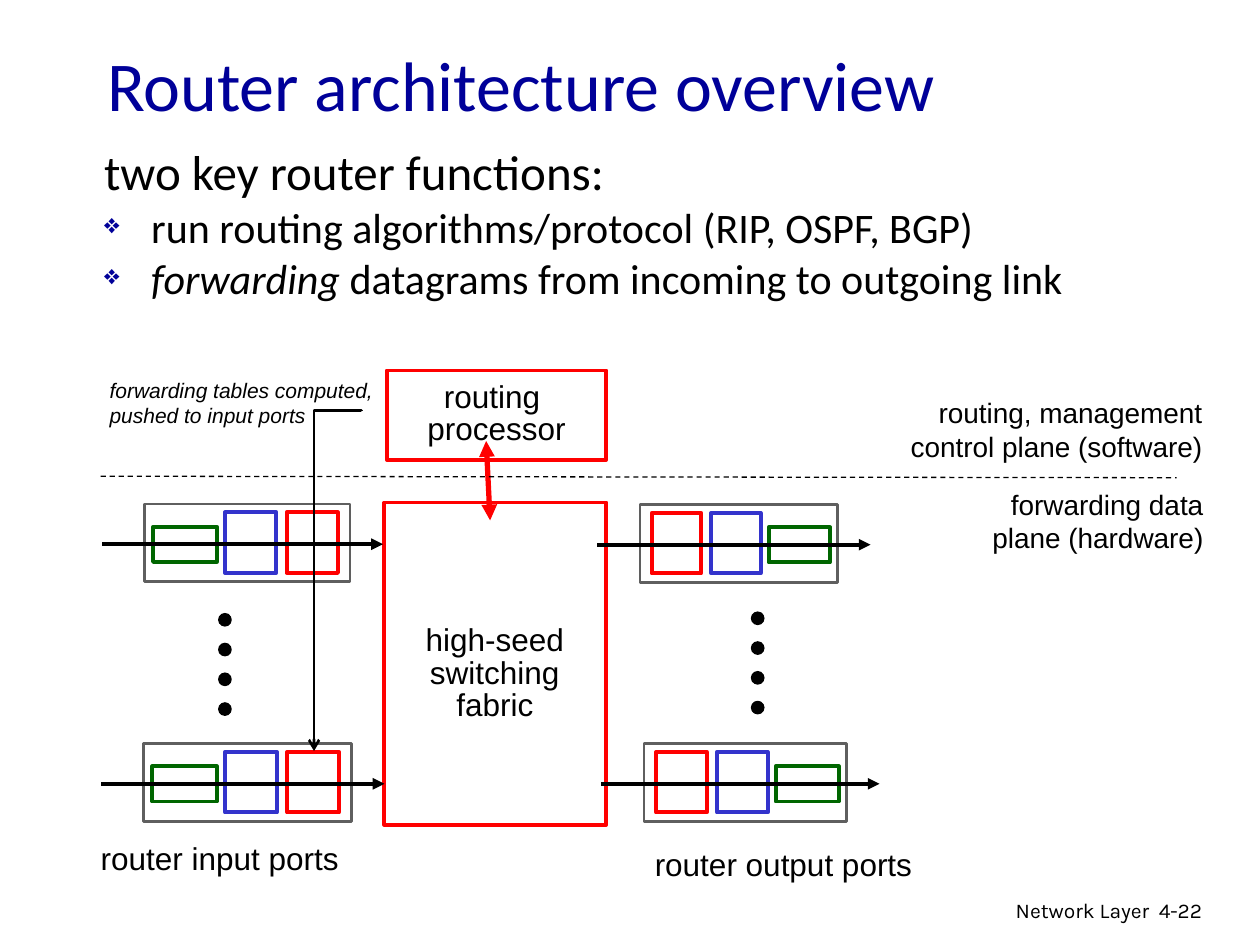
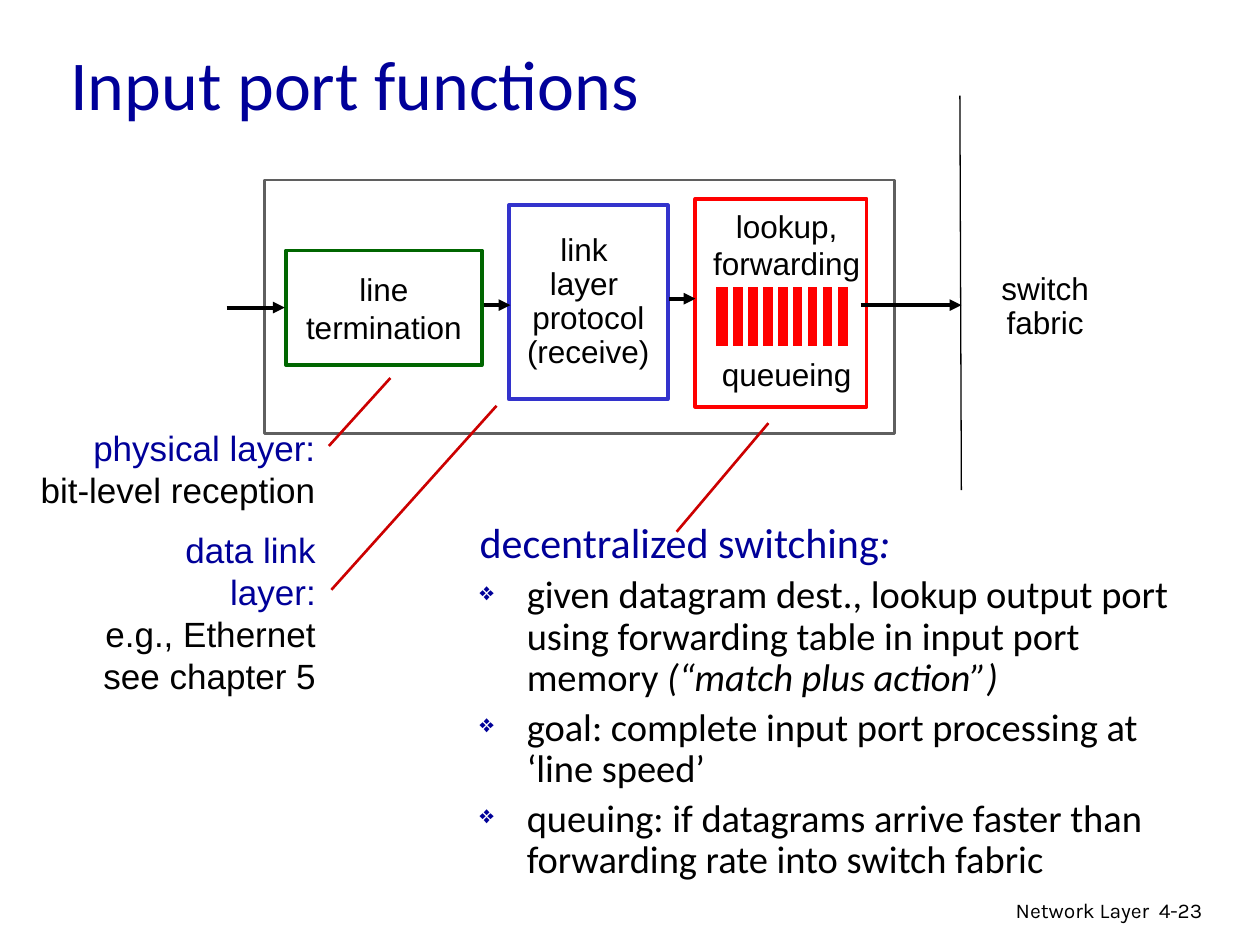
import pptx
import pptx.dml.color
import pptx.enum.dml
import pptx.enum.shapes
import pptx.enum.text
import pptx.oxml.ns
import pptx.util
from lxml import etree

Cm, Pt = pptx.util.Cm, pptx.util.Pt
rgb = pptx.dml.color.RGBColor.from_string
qn = pptx.oxml.ns.qn
SHAPE = pptx.enum.shapes.MSO_SHAPE
CONNECTOR = pptx.enum.shapes.MSO_CONNECTOR
ALIGN = pptx.enum.text.PP_ALIGN
ANCHOR = pptx.enum.text.MSO_ANCHOR
AUTO = pptx.enum.text.MSO_AUTO_SIZE

BLACK, WHITE, GREY = "000000", "FFFFFF", "5F5F5F"
NAVY, BLUE, GREEN, RED, DARK_RED = "000099", "3333CC", "006600", "FF0000", "CC0000"


def add_box(s, x, y, w, h, paras=(), line=None, pt=2.25, fill=WHITE, shape=SHAPE.RECTANGLE,
            size=18, font="Arial", colour=BLACK, italic=False, align=ALIGN.LEFT,
            anchor=ANCHOR.TOP, spacing=None, wrap=False):
    """Add a shape if line is given, else a text box.

    A paragraph is a string or a list of (text, {size, colour, italic}) runs.
    """
    place = Cm(x), Cm(y), Cm(w), Cm(h)
    if line:
        sp = s.shapes.add_shape(shape, *place)
        sp.shadow.inherit = False
        sp.fill.solid()
        sp.fill.fore_color.rgb = rgb(fill)
        sp.line.color.rgb = rgb(line)
        sp.line.width = Pt(pt)
    else:
        sp = s.shapes.add_textbox(*place)
    tf = sp.text_frame
    tf.word_wrap = wrap
    tf.vertical_anchor = anchor
    if not line and not wrap and anchor == ANCHOR.TOP:
        tf.auto_size = AUTO.SHAPE_TO_FIT_TEXT
    for i, para in enumerate(paras):
        p = tf.add_paragraph() if i else tf.paragraphs[0]
        p.alignment = align
        if spacing:
            p.line_spacing = spacing
        for text, style in [(para, {})] if isinstance(para, str) else para:
            r = p.add_run()
            r.text = text
            r.font.name = font
            r.font.size = Pt(style.get("size", size))
            r.font.italic = style.get("italic", italic)
            r.font.color.rgb = rgb(style.get("colour", colour))
    return sp


def add_line(s, x1, y1, x2, y2, colour=BLACK, pt=2.25, head=None, tail=None,
             dash=None, kind=CONNECTOR.STRAIGHT):
    c = s.shapes.add_connector(kind, Cm(x1), Cm(y1), Cm(x2), Cm(y2))
    c.line.color.rgb = rgb(colour)
    c.line.width = Pt(pt)
    if dash:
        c.line.dash_style = dash
    ln = c.element.spPr.find(qn("a:ln"))
    for tag, arrow in (("a:headEnd", head), ("a:tailEnd", tail)):
        if arrow:
            etree.SubElement(ln, qn(tag), type=arrow)
    etree.SubElement(c.element.spPr, qn("a:effectLst"))
    return c


prs = pptx.Presentation()
prs.slide_width, prs.slide_height = Cm(25.4), Cm(19.05)

# Title, bulleted body and footer of each slide
pages = [
    dict(title="Router architecture overview", title_at=(1.91, 0.84), number="4-22",
         body_at=(1.85, 2.92, 22.58, 2.54), size=24, spacing=0.85,
         body=[[("two key router functions:", {"size": 28})],
               "run routing algorithms/protocol (RIP, OSPF, BGP)",
               [("forwarding ", {"italic": True}),
                ("datagrams from incoming to outgoing link", {})]]),
    dict(title="Input port functions", title_at=(1.17, 0.81), number="4-23",
         body_at=(9.42, 10.41, 15.16, 7.42), size=22, spacing=0.9,
         body=[[("decentralized switching", {"size": 24, "colour": NAVY}),
                (":", {"size": 24, "colour": NAVY, "italic": True})],
               [("given datagram dest., lookup output port using forwarding table "
                 "in input port memory ", {}),
                ("(“match plus action”)", {"italic": True})],
               "goal: complete input port processing at ‘line speed’",
               "queuing: if datagrams arrive faster than forwarding rate into switch fabric"]),
]
slides = []
for page in pages:
    s = prs.slides.add_slide(prs.slide_layouts[6])
    slides.append(s)
    add_box(s, *page["title_at"], 21.59, 1.7, [page["title"]], size=40, font="Calibri",
            colour=NAVY, anchor=ANCHOR.MIDDLE, wrap=True)
    body = add_box(s, *page["body_at"], page["body"], size=page["size"], font="Calibri",
                   spacing=page["spacing"], wrap=True)
    for i, p in enumerate(body.text_frame.paragraphs):
        p.space_before = Pt(round(p.runs[0].font.size.pt * 0.2, 1))
        pPr = p._p.get_or_add_pPr()
        pPr.set("marL", str(Cm(0.95)))
        pPr.set("indent", str(Cm(-0.95)))
        if i:
            bullet_colour = etree.SubElement(pPr, qn("a:buClr"))
            etree.SubElement(bullet_colour, qn("a:srgbClr"), val=NAVY)
            etree.SubElement(pPr, qn("a:buSzPct"), val="65000")
            etree.SubElement(pPr, qn("a:buChar"), char="❖")
    add_box(s, 15.37, 17.96, 8.05, 0.79, ["Network Layer"], size=12, font="Karla",
            align=ALIGN.RIGHT, wrap=True)
    add_box(s, 23.11, 17.96, 1.88, 0.76, [page["number"]], size=12, font="Karla", wrap=True)

# Slide 1: router architecture
s = slides[0]
add_box(s, 7.75, 10.13, 4.47, 6.5, line=RED)
add_box(s, 8.26, 12.5, 3.43, 2.24, ["high-seed ", "switching", "fabric"],
        align=ALIGN.CENTER, spacing=0.85)
add_box(s, 7.8, 7.47, 4.42, 1.8, ["routing ", "processor"], line=RED,
        align=ALIGN.CENTER, anchor=ANCHOR.MIDDLE, spacing=0.85)
add_line(s, 9.8, 8.89, 9.88, 10.49, RED, 3, head="triangle", tail="triangle")

# Parts of a port: colour, start and width as shares of the port, top, height.
# Output ports hold the same parts mirrored.
parts = [(GREEN, 0.04, 0.31, 0.46, 0.71),
         (BLUE, 0.39, 0.25, 0.17, 1.22),
         (RED, 0.69, 0.25, 0.17, 1.22)]
ports = [(2.92, 10.16, 4.14, False), (2.9, 14.99, 4.19, False),
         (12.9, 10.17, 3.99, True), (12.98, 14.99, 4.09, True)]
for x, y, w, is_output in ports:
    add_box(s, x, y, w, 1.57, line=GREY, pt=1.5)
    for colour, start, share, top, height in parts:
        if is_output:
            start = 1 - start - share
        add_box(s, x + start * w, y + top, share * w, height, line=colour)
    add_line(s, x - 0.86, y + 0.81, x + w + 0.66, y + 0.81, tail="triangle")

for x, y in ((4.41, 12.37), (15.15, 12.34)):
    for i in range(4):
        add_box(s, x, y + 0.6 * i, 0.25, 0.25, line=BLACK, pt=0.75, fill=BLACK, shape=SHAPE.OVAL)

add_box(s, 1.78, 16.79, 5.31, 1.02, ["router input ports"])
add_box(s, 12.95, 16.92, 5.69, 1.02, ["router output ports"])
add_line(s, 2.03, 9.6, 23.72, 9.63, pt=0.75, dash=pptx.enum.dml.MSO_LINE.DASH)
add_box(s, 19.13, 9.7, 5.38, 1.63, ["forwarding data plane (hardware)"], size=16,
        align=ALIGN.RIGHT, wrap=True)
add_box(s, 17.68, 7.85, 6.81, 1.63, ["routing, management", "control plane (software)"],
        size=16, align=ALIGN.RIGHT, wrap=True)

# Elbow turned by 90 degrees, so that it runs left and then down
push = add_line(s, 3.38, 11.23, 10.24, 12.19, pt=1.5, tail="arrow", kind=CONNECTOR.ELBOW)
push.element.spPr.find(qn("a:xfrm")).set("rot", "5400000")
geometry = push.element.spPr.find(qn("a:prstGeom"))
guides = geometry.find(qn("a:avLst"))
if guides is None:
    guides = etree.SubElement(geometry, qn("a:avLst"))
etree.SubElement(guides, qn("a:gd"), name="adj1", fmla="val -100")
add_box(s, 1.96, 7.49, 5.99, 1.27, ["forwarding tables computed,", "pushed to input ports"],
        size=12, italic=True)

# Slide 2: input port
s = slides[1]
add_box(s, 5.33, 3.63, 12.7, 5.11, line=GREY, pt=1.5)
add_box(s, 5.77, 5.05, 3.94, 2.31, ["line", "termination"], line=GREEN,
        align=ALIGN.CENTER, anchor=ANCHOR.MIDDLE)
add_box(s, 10.26, 4.14, 3.2, 3.91, ["link ", "layer ", "protocol", "(receive)"], line=BLUE,
        align=ALIGN.CENTER, anchor=ANCHOR.MIDDLE, spacing=0.9)
add_box(s, 14.02, 4.01, 3.45, 4.19, line=RED)
for x1, x2, y in ((4.57, 5.74, 6.2), (9.75, 10.29, 6.15),
                  (13.49, 14.02, 6.02), (17.35, 19.38, 6.15)):
    add_line(s, x1, y, x2, y, tail="triangle")
lookup = add_box(s, 14.12, 4.04, 3.48, 4.06, ["lookup,", "forwarding", "queueing"],
                 align=ALIGN.CENTER)
lookup.text_frame.paragraphs[-1].space_before = Pt(41.4)

add_box(s, 14.38, 5.74, 2.77, 1.3, line=WHITE, pt=3, fill=RED)
for i in range(8):
    x = 14.73 + 0.3 * i
    add_line(s, x, 5.76, x, 7.01, WHITE, 3)

add_line(s, 19.35, 1.93, 19.38, 9.88, pt=0.75)
add_box(s, 19.61, 5.05, 2.92, 2.31, ["switch", "fabric"], align=ALIGN.CENTER,
        anchor=ANCHOR.MIDDLE, spacing=0.9)
add_box(s, 0.56, 8.48, 6.05, 1.96,
        [[("physical layer:", {"colour": NAVY})], "bit-level reception"],
        size=20, align=ALIGN.RIGHT)
add_box(s, 1.57, 10.52, 5.05, 2.79,
        [[("data link layer:", {"colour": NAVY})], "e.g., Ethernet", "see chapter 5"],
        size=20, align=ALIGN.RIGHT)
for pointer in ((6.63, 8.99, 7.87, 7.62), (6.68, 11.89, 10.01, 8.18),
                (13.64, 10.72, 15.49, 8.53)):
    add_line(s, *pointer, DARK_RED, 1.5)

prs.save("out.pptx")
